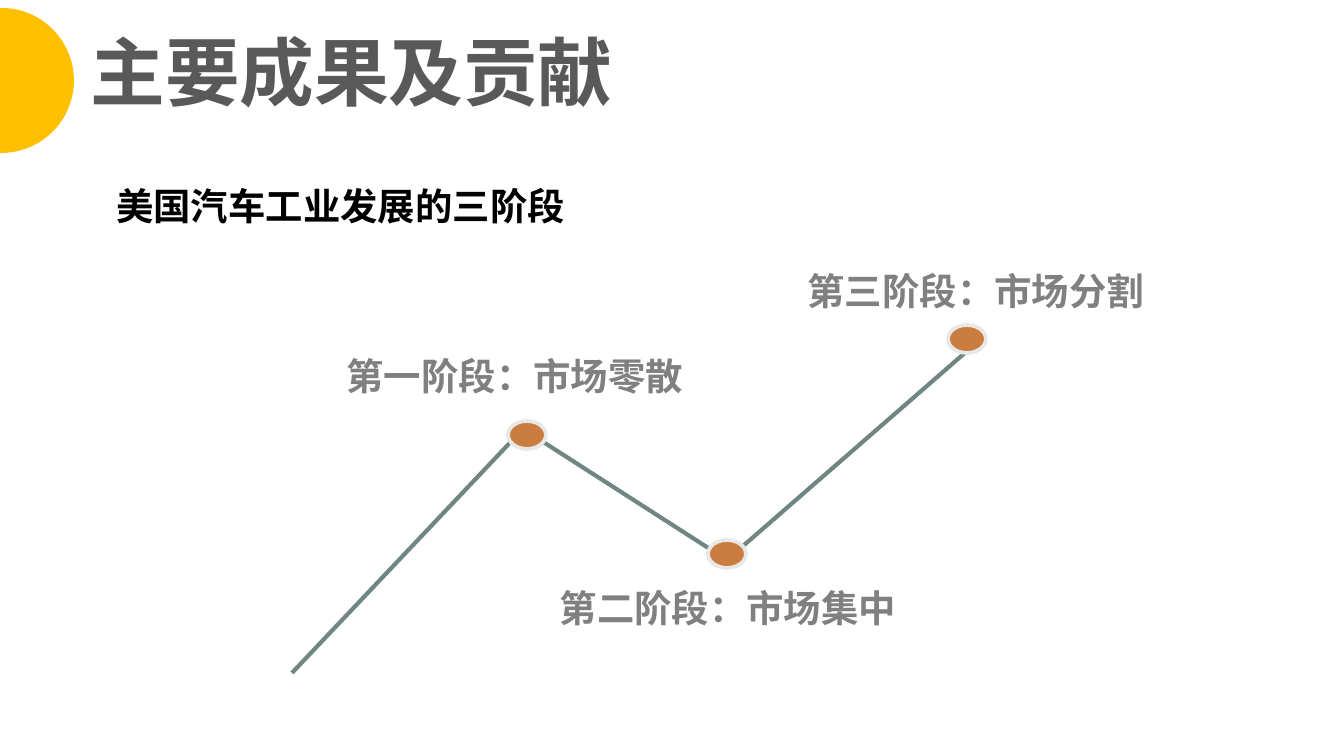
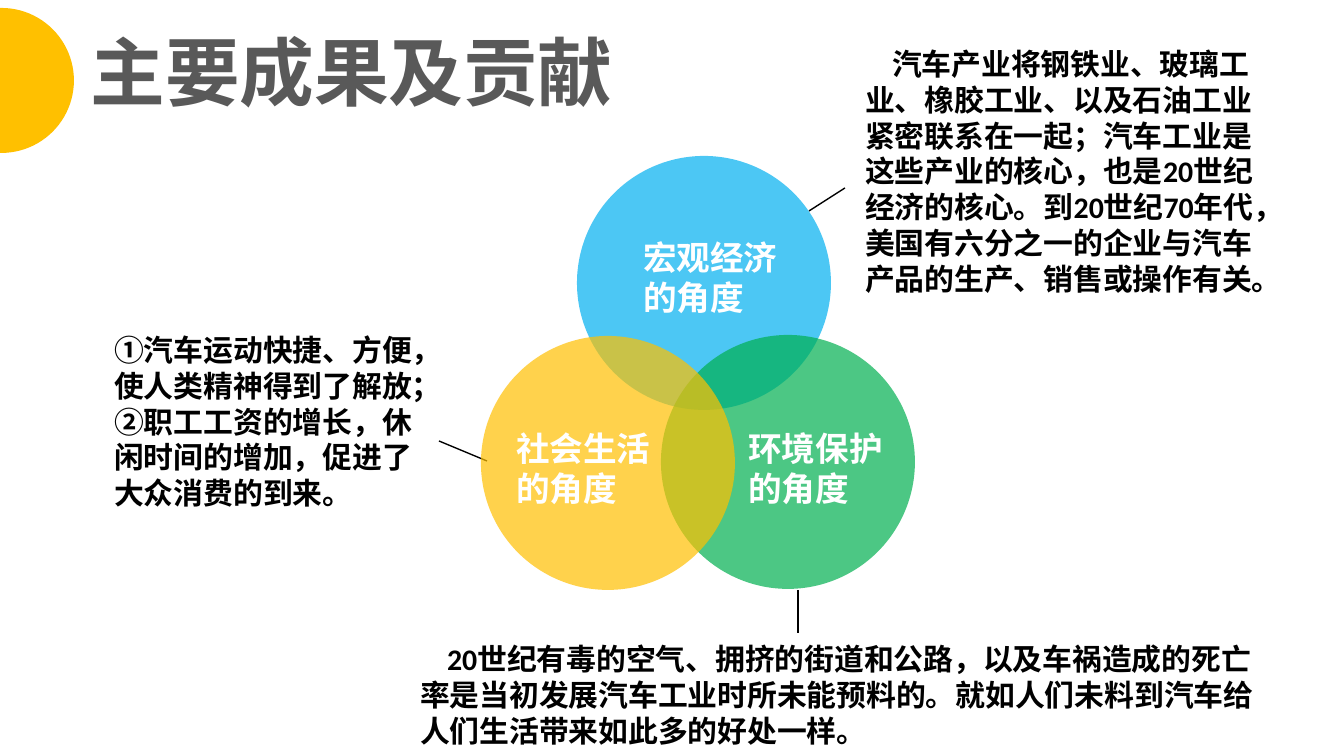
"""Build two slides on the stages and effects of the car industry."""
from itertools import pairwise

from lxml import etree
from pptx import Presentation
from pptx import util as u
from pptx.dml.color import RGBColor
from pptx.enum import shapes, text
from pptx.oxml import ns

PX = 914400 / 134.4
COLORS = {
    "accent": "FFC000", "title": "595959", "ink": "000000", "label": "808080",
    "white": "FFFFFF", "trend": "6F8683", "dot": "CB7D40", "rim": "E8E8E6",
    "sky": "00B0F0", "green": "00B050",
}
CJK = "Noto Sans CJK SC"
TITLE = {"size": u.Pt(40), "name": CJK, "bold": True}
HEADING = {"size": u.Pt(20), "name": CJK, "bold": True}
CIRCLE_LABEL = {"size": u.Pt(18), "name": CJK, "bold": True}
NOTE = {"size": u.Pt(16), "name": "Calibri", "bold": True}


def px(length):
    """Turn px into EMU."""
    return u.Emu(round(length * PX))


def rgb(name):
    """Look up a palette colour."""
    return RGBColor.from_string(COLORS[name])


def write(frame, paragraphs, style, color, align=text.PP_ALIGN.LEFT, indent=0):
    """Fill a text frame with equally formatted paragraphs."""
    for index, words in enumerate(paragraphs):
        paragraph = frame.add_paragraph() if index else frame.paragraphs[0]
        paragraph.alignment = align
        if indent:
            paragraph._p.get_or_add_pPr().set("indent", str(px(indent)))
        run = paragraph.add_run()
        run.text = words
        for key, value in style.items():
            setattr(run.font, key, value)
        run.font.color.rgb = rgb(color)
        etree.SubElement(run._r.get_or_add_rPr(), ns.qn("a:ea"), typeface=CJK)


def add_text(parent, box, paragraphs, style, color, wrap=True, **layout):
    """Add a text box that grows with its words."""
    frame = parent.add_textbox(*map(px, box)).text_frame
    frame.word_wrap = wrap
    frame.auto_size = text.MSO_AUTO_SIZE.SHAPE_TO_FIT_TEXT
    write(frame, paragraphs, style, color, **layout)


def add_ellipse(parent, box, fill, rim=None, opacity=100):
    """Add an ellipse with an optional rim and transparency."""
    ellipse = parent.add_shape(shapes.MSO_SHAPE.OVAL, *map(px, box))
    ellipse.shadow.inherit = False
    ellipse.fill.solid()
    ellipse.fill.fore_color.rgb = rgb(fill)
    if opacity < 100:
        tint = ellipse.fill._xPr.find(".//" + ns.qn("a:srgbClr"))
        etree.SubElement(tint, ns.qn("a:alpha"), val=str(opacity * 1000))
    if rim:
        ellipse.line.color.rgb = rgb(rim)
        ellipse.line.width = u.Pt(2)
    else:
        ellipse.line.fill.background()


def add_line(parent, start, end, color, width):
    """Add a straight line without shadow."""
    line = parent.add_connector(
        shapes.MSO_CONNECTOR.STRAIGHT, *map(px, (*start, *end)))
    line.line.color.rgb = rgb(color)
    line.line.width = u.Pt(width)
    etree.SubElement(line._element.spPr, ns.qn("a:effectLst"))


def add_titled_slide(deck, heading):
    """Add a slide with the shared title and corner circle."""
    slide = deck.slides.add_slide(deck.slide_layouts[5])
    title = slide.shapes.title
    place = dict(zip(("left", "top", "width", "height"),
                     map(px, (77, 19, 555, 103))))
    for key, value in place.items():
        setattr(title, key, value)
    frame = title.text_frame
    frame_format = {"word_wrap": False,
                    "vertical_anchor": text.MSO_ANCHOR.TOP,
                    "auto_size": text.MSO_AUTO_SIZE.SHAPE_TO_FIT_TEXT}
    for key, value in frame_format.items():
        setattr(frame, key, value)
    write(frame, [heading], TITLE, "title")
    add_ellipse(slide.shapes, (-71, 8, 145, 145), "accent")
    return slide


def add_stages(slide):
    """Draw the trend line with its three stages."""
    trend = slide.shapes.add_group_shape().shapes
    turns = [(292, 673), (523, 429), (727, 560), (966, 352)]
    for start, end in pairwise(turns):
        add_line(trend, start, end, "trend", 2.25)
    for left, top in [(508, 421), (708, 540), (948, 325)]:
        add_ellipse(trend, (left, top, 38, 28), "dot", rim="rim")
    stages = [
        ("第一阶段：市场零散", 333, 347, 364),
        ("第二阶段：市场集中", 535, 579, 386),
        ("第三阶段：市场分割", 767, 262, 418),
    ]
    for stage, left, top, width in stages:
        add_text(trend, (left, top, width, 59), [stage], HEADING, "label",
                 align=text.PP_ALIGN.CENTER)
    add_text(slide.shapes, (58, 177, 524, 59), ["美国汽车工业发展的三阶段"],
             HEADING, "ink", wrap=False, indent=45)


def add_viewpoints(slide):
    """Draw the three overlapping viewpoints and their notes."""
    leaders = [((439, 441), (487, 461)), ((798, 633), (798, 590)),
               ((809, 211), (845, 188))]
    for start, end in leaders:
        add_line(slide.shapes, start, end, "ink", 0.75)
    for left, top, color in [(577, 156, "sky"), (661, 335, "green"),
                             (481, 336, "accent")]:
        add_ellipse(slide.shapes, (left, top, 254, 254), color, opacity=70)
    viewpoints = [
        ("宏观经济的角度", 630, 230, 180),
        ("社会生活的角度", 503, 421, 183),
        ("环境保护的角度", 735, 421, 173),
    ]
    for viewpoint, left, top, width in viewpoints:
        add_text(slide.shapes, (left, top, width, 95), [viewpoint],
                 CIRCLE_LABEL, "white")
    notes = [
        ((852, 39, 434, 267), 27, [
            "汽车产业将钢铁业、玻璃工业、橡胶工业、以及石油工业紧密联系在一起；"
            "汽车工业是这些产业的核心，也是20世纪经济的核心。到20世纪70年代，"
            "美国有六分之一的企业与汽车产品的生产、销售或操作有关。"]),
        ((407, 634, 879, 122), 27, [
            "20世纪有毒的空气、拥挤的街道和公路，以及车祸造成的死亡率是当初"
            "发展汽车工业时所未能预料的。就如人们未料到汽车给人们生活带来"
            "如此多的好处一样。"]),
        ((101, 325, 339, 231), 0, [
            "①汽车运动快捷、方便，使人类精神得到了解放；",
            "②职工工资的增长，休闲时间的增加，促进了大众消费的到来。"]),
    ]
    for box, indent, paragraphs in notes:
        add_text(slide.shapes, box, paragraphs, NOTE, "ink", indent=indent)


def main():
    """Build and save the deck."""
    deck = Presentation()
    deck.slide_width, deck.slide_height = px(1344), px(756)
    for add_content in (add_stages, add_viewpoints):
        add_content(add_titled_slide(deck, "主要成果及贡献"))
    deck.save("out.pptx")


if __name__ == "__main__":
    main()
